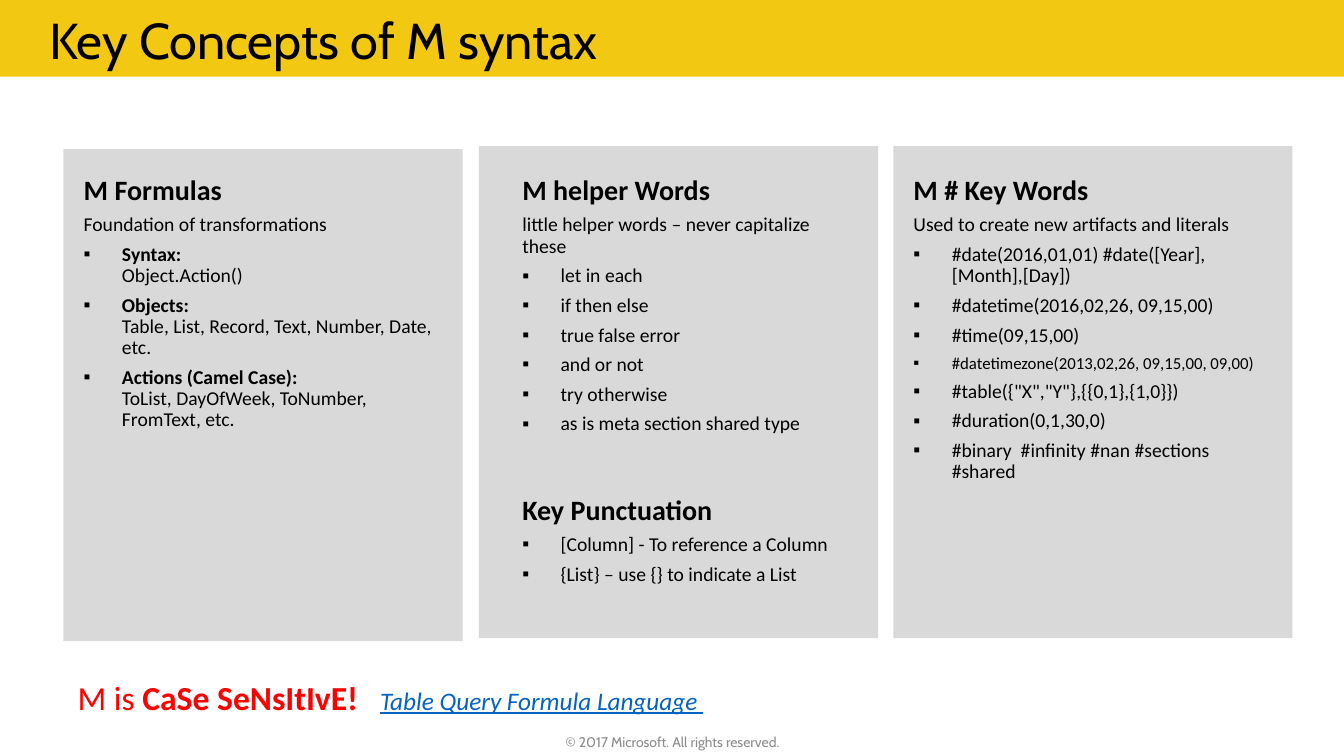
from copy import deepcopy

from lxml.etree import SubElement
from pptx import Presentation
from pptx.dml.color import RGBColor
from pptx.enum.shapes import MSO_SHAPE
from pptx.enum.text import MSO_ANCHOR, MSO_AUTO_SIZE, PP_ALIGN
from pptx.oxml.ns import qn
from pptx.util import Inches, Pt

YELLOW, GREY, BLACK = "F2C812", "D9D9D9", "000000"
RED, BLUE, FOOTER_GREY = "FF0000", "0563C1", "8C8C8C"
COMPARISON_LAYOUT = 4

CARDS = [(0.63, 1.48), (4.75, 1.45), (8.86, 1.45)]

FORMULAS = [
    ("Syntax:", "Object.Action()"),
    ("Objects:", "Table, List, Record, Text, Number, Date, etc."),
    ("Actions (Camel Case):", "ToList, DayOfWeek, ToNumber, FromText, etc."),
]
HELPERS = [
    "let in each",
    "if then else",
    "true false error",
    "and or not",
    "try otherwise",
    "as is meta section shared type",
]
KEY_WORDS = [
    "#date(2016,01,01) #date([Year],[Month],[Day])",
    "#datetime(2016,02,26, 09,15,00)",
    "#time(09,15,00)",
    "#datetimezone(2013,02,26, 09,15,00, 09,00)",
    '#table({"X","Y"},{{0,1},{1,0}})',
    "#duration(0,1,30,0)",
    "#binary  #infinity #nan #sections #shared",
]
PUNCTUATION = [
    "[Column] - To reference a Column",
    "{List} – use {} to indicate a List",
]
SMALL_ITEMS = {"#datetimezone(2013,02,26, 09,15,00, 09,00)": 12}

LISTS = [
    ((0.63, 1.59, 3.96, 2.87), "M Formulas",
     "Foundation of transformations", FORMULAS),
    ((4.98, 1.59, 3.72, 2.91), "M helper Words",
     "little helper words – never capitalize these", HELPERS),
    ((8.86, 1.59, 3.96, 3.39), "M # Key Words",
     "Used to create new artifacts and literals", KEY_WORDS),
    ((4.98, 4.76, 3.72, 1.22), "Key Punctuation", None, PUNCTUATION),
]


def color(value):
    return RGBColor.from_string(value)


class SlideBuilder:
    heading_font = "Cabin"
    body_font = "Calibri"
    wide_insets = (0.2, 0.16)
    normal_insets = (0.1, 0.05)

    def __init__(self, slide):
        self.s = slide

    def place(self, sp, box):
        sp.left, sp.top, sp.width, sp.height = map(Inches, box)

    def frame(self, sp, insets):
        tf = sp.text_frame
        tf.word_wrap = True
        tf.auto_size = MSO_AUTO_SIZE.NONE
        tf.vertical_anchor = MSO_ANCHOR.TOP
        tf.margin_left = tf.margin_right = Inches(insets[0])
        tf.margin_top = tf.margin_bottom = Inches(insets[1])
        return tf

    def run(self, p, text, size=14, fill=BLACK, bold=False, italic=False,
            underline=False, font=body_font):
        r = p.add_run()
        r.text = text
        r.font.name = font
        r.font.size = Pt(size)
        r.font.bold = bold
        r.font.italic = italic
        r.font.underline = underline
        r.font.color.rgb = color(fill)
        return r

    def paragraph(self, tf, bullet=None):
        p = tf.paragraphs[0]
        if p.runs:
            p = tf.add_paragraph()
        p.alignment = PP_ALIGN.LEFT
        p.line_spacing = 0.9
        p.space_before = Pt(0)
        p.space_after = Pt(6)
        pPr = p._p.get_or_add_pPr()
        indent = Inches(0.38) if bullet else 0
        pPr.set("marL", str(indent))
        pPr.set("indent", str(-indent))
        if bullet:
            SubElement(pPr, qn("a:buFont"), typeface="Arial")
            SubElement(pPr, qn("a:buChar"), char=bullet)
        else:
            SubElement(pPr, qn("a:buNone"))
        return p

    def rect(self, box, fill):
        sp = self.s.shapes.add_shape(MSO_SHAPE.RECTANGLE, *map(Inches, box))
        sp.shadow.inherit = False
        sp.fill.solid()
        sp.fill.fore_color.rgb = color(fill)
        sp.line.fill.background()

    def title(self, box, text):
        sp = self.s.shapes.title
        self.place(sp, box)
        p = self.frame(sp, self.normal_insets).paragraphs[0]
        p.alignment = PP_ALIGN.LEFT
        self.run(p, text, 36, font=self.heading_font)
        self.bring_to_front(sp)

    def bring_to_front(self, sp):
        sp._element.getparent().append(sp._element)

    def list(self, sp, box, heading, intro, items):
        self.place(sp, box)
        tf = self.frame(sp, self.wide_insets)
        self.run(self.paragraph(tf), heading, 20, bold=True)
        if intro:
            self.run(self.paragraph(tf), intro)
        for item in items:
            p = self.paragraph(tf, "▪")
            if isinstance(item, tuple):
                label, item = item
                r = self.run(p, label, bold=True)
                p.add_line_break()
                p._p[-1].append(deepcopy(r._r.rPr))
            self.run(p, item, SMALL_ITEMS.get(item, 14))
        self.bring_to_front(sp)

    def textbox(self, box, insets):
        sp = self.s.shapes.add_textbox(*map(Inches, box))
        return self.frame(sp, insets)

    def callout(self, box, link_offset):
        p = self.paragraph(self.textbox(box, self.wide_insets))
        tabs = SubElement(p._p.get_or_add_pPr(), qn("a:tabLst"))
        SubElement(tabs, qn("a:tab"), pos=str(Inches(link_offset)), algn="l")
        self.run(p, "M is ", 24, RED)
        self.run(p, "CaSe SeNsItIvE!\t", 24, RED, bold=True)
        self.run(p, "Table Query Formula Language ", 18, BLUE,
                 italic=True, underline=True)

    def footer(self, box, text):
        p = self.textbox(box, self.normal_insets).paragraphs[0]
        p.alignment = PP_ALIGN.CENTER
        self.run(p, text, 10, FOOTER_GREY, font=self.heading_font)


def main():
    prs = Presentation()
    prs.slide_width, prs.slide_height = Inches(13.33), Inches(7.5)
    s = prs.slides.add_slide(prs.slide_layouts[COMPARISON_LAYOUT])
    builder = SlideBuilder(s)
    bodies = [sp for sp in s.placeholders if sp.placeholder_format.idx > 0]

    builder.rect((0, 0, 13.33, 0.76), YELLOW)
    builder.title((0.39, 0.04, 12.14, 0.72), "Key Concepts of M syntax")
    for left, top in CARDS:
        builder.rect((left, top, 3.96, 4.88), GREY)
    for sp, content in zip(bodies, LISTS):
        builder.list(sp, *content)
    builder.callout((0.57, 6.6, 12.66, 0.69), 7.23)
    builder.footer((4.42, 7.23, 4.5, 0.25),
                   "© 2017 Microsoft. All rights reserved.")
    prs.save("out.pptx")


if __name__ == "__main__":
    main()
